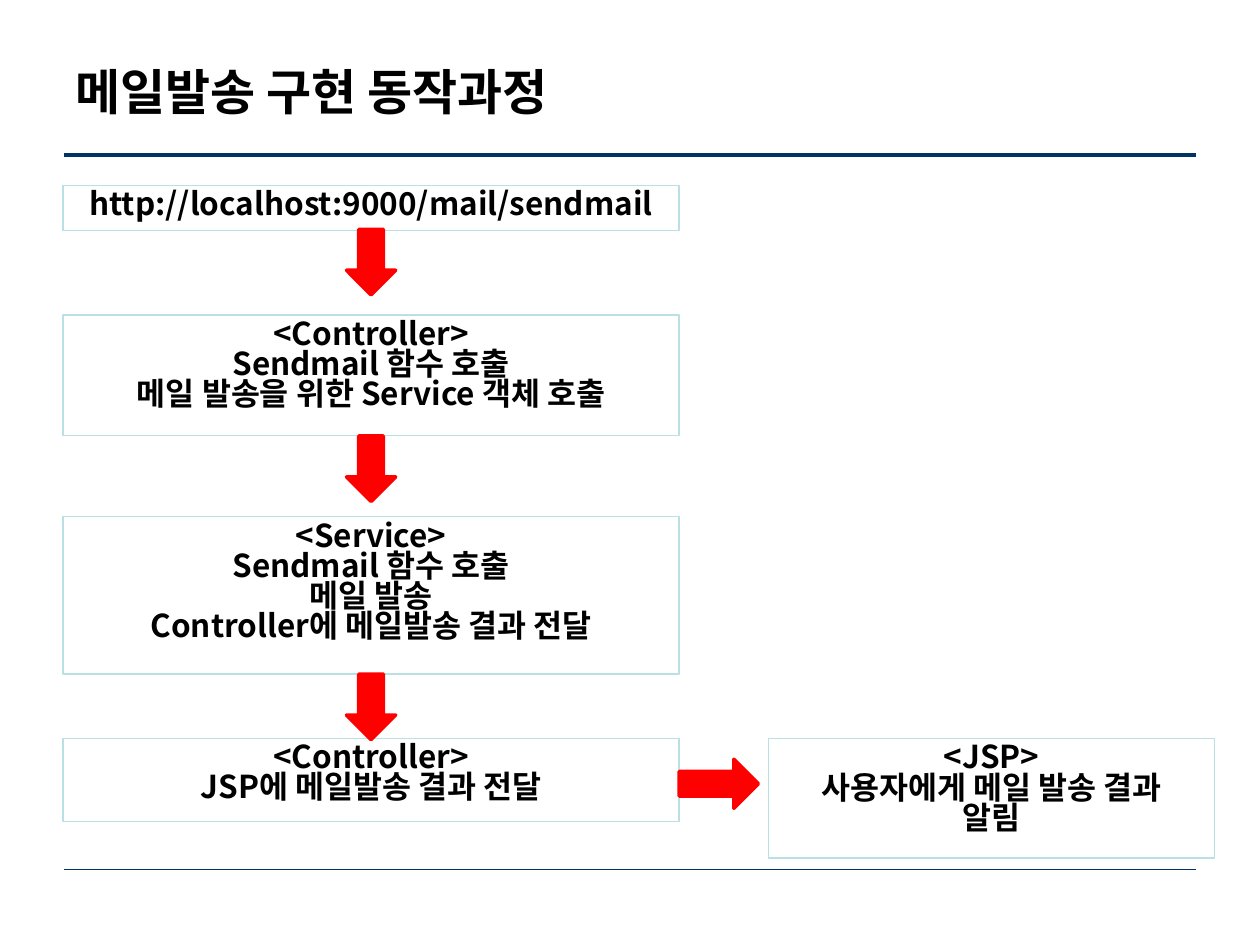
from lxml.etree import SubElement
from pptx import Presentation
from pptx.dml.color import RGBColor
from pptx.enum.shapes import MSO_CONNECTOR, MSO_SHAPE
from pptx.enum.text import MSO_ANCHOR, PP_ALIGN
from pptx.oxml.ns import qn
from pptx.util import Inches, Pt

FONT = "Noto Sans CJK KR"
TITLE = "메일발송 구현 동작과정"
LEFT, MAIN_WIDTH = 0.5, 4.89
RESULT_LEFT, RESULT_WIDTH = 6.1, 3.54
ARROW_BREADTH, DOWN_LENGTH, RIGHT_LENGTH = 0.39, 0.52, 0.63
RULES = [(6.9, 0.75), (1.23, 2)]
STEPS = [
    (1.47, 0.36, ["http://localhost:9000/mail/sendmail"]),
    (2.5, 0.96, ["<Controller>", "Sendmail 함수 호출", "메일 발송을 위한 Service 객체 호출"]),
    (4.1, 1.25, ["<Service>", "Sendmail 함수 호출", "메일 발송", "Controller에 메일발송 결과 전달"]),
    (5.86, 0.66, ["<Controller>", "JSP에 메일발송 결과 전달"]),
]
RESULT = (5.86, 0.95, ["<JSP>", "사용자에게 메일 발송 결과", "알림"])


def color(value):
    return RGBColor.from_string(value)


def write(frame, lines, size, align, spacing=1.0):
    frame.word_wrap = True
    for index, line in enumerate(lines):
        paragraph = frame.paragraphs[0] if index == 0 else frame.add_paragraph()
        paragraph.text = line
        paragraph.alignment = align
        paragraph.line_spacing = spacing
        font = paragraph.font
        font.size, font.bold, font.name = Pt(size), True, FONT
        font.color.rgb = color("000000")
        defaults = paragraph._p.pPr.find(qn("a:defRPr"))
        SubElement(defaults, qn("a:ea"), typeface=FONT)


def add_shape(page, kind, left, top, width, height, fill, line, weight):
    shape = page.shapes.add_shape(
        kind, Inches(left), Inches(top), Inches(width), Inches(height))
    shape.shadow.inherit = False
    shape.fill.solid()
    shape.fill.fore_color.rgb = color(fill)
    shape.line.color.rgb = color(line)
    shape.line.width = Pt(weight)
    return shape


def add_step(page, left, width, step):
    top, height, lines = step
    box = add_shape(page, MSO_SHAPE.RECTANGLE, left, top, width, height,
                    "FFFFFF", "BBE0E3", 0.75)
    box.text_frame.vertical_anchor = MSO_ANCHOR.TOP
    write(box.text_frame, lines, 18, PP_ALIGN.CENTER, 0.8)


def add_arrow(page, kind, left, top, width, height):
    add_shape(page, kind, left, top, width, height, "FF0000", "FF0000", 2)


def add_rule(page, top, weight):
    rule = page.shapes.add_connector(
        MSO_CONNECTOR.STRAIGHT, Inches(0.51), Inches(top), Inches(9.49), Inches(top))
    rule.line.color.rgb = color("003366")
    rule.line.width = Pt(weight)
    SubElement(rule._element.spPr, qn("a:effectLst"))


def main():
    deck = Presentation()
    deck.slide_width, deck.slide_height = Inches(10), Inches(7.5)
    page = deck.slides.add_slide(deck.slide_layouts[6])
    for top, weight in RULES:
        add_rule(page, top, weight)

    title = page.shapes.add_textbox(Inches(LEFT), Inches(0.3), Inches(9), Inches(0.85))
    title.text_frame.vertical_anchor = MSO_ANCHOR.MIDDLE
    write(title.text_frame, [TITLE], 28, PP_ALIGN.JUSTIFY)

    for step in STEPS:
        add_step(page, LEFT, MAIN_WIDTH, step)
    add_step(page, RESULT_LEFT, RESULT_WIDTH, RESULT)

    arrow_left = LEFT + (MAIN_WIDTH - ARROW_BREADTH) / 2
    for top, height, _ in STEPS[:-1]:
        add_arrow(page, MSO_SHAPE.DOWN_ARROW, arrow_left, top + height - 0.01 + 0.01 * (top > 2),
                  ARROW_BREADTH, DOWN_LENGTH)
    last_top, last_height, _ = STEPS[-1]
    add_arrow(page, MSO_SHAPE.RIGHT_ARROW, LEFT + MAIN_WIDTH,
              last_top + (last_height - ARROW_BREADTH) / 2 + 0.03, RIGHT_LENGTH, ARROW_BREADTH)
    deck.save("out.pptx")


if __name__ == "__main__":
    main()
